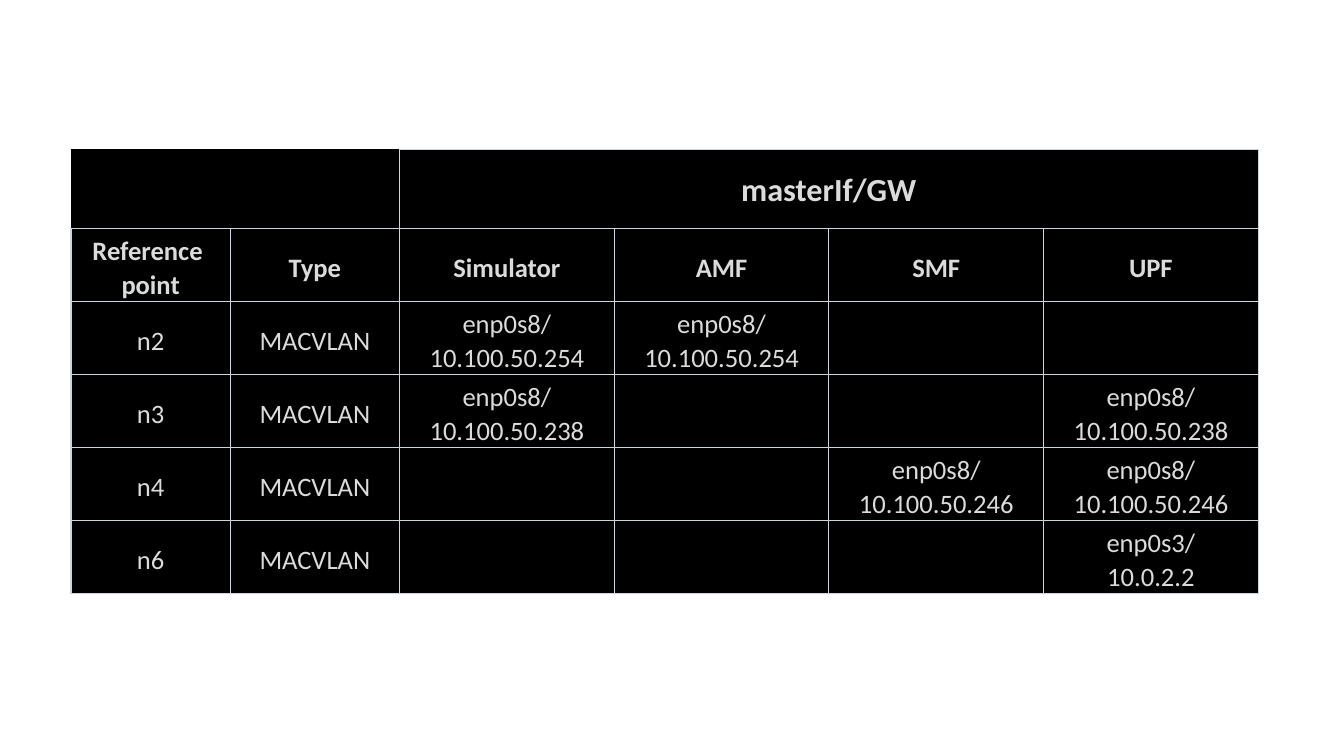
import pptx
import pptx.dml.color
import pptx.enum.text
import pptx.oxml
import pptx.oxml.ns
import pptx.util

Cm = pptx.util.Cm
Pt = pptx.util.Pt
MIDDLE = pptx.enum.text.MSO_ANCHOR.MIDDLE
TOP = pptx.enum.text.MSO_ANCHOR.TOP

GROUP_HEADING = "masterIf/GW"
ROWS = [
    ["Reference \npoint", "Type", "Simulator", "AMF", "SMF", "UPF"],
    ["n2", "MACVLAN", "enp0s8/\n10.100.50.254", "enp0s8/\n10.100.50.254", "", ""],
    ["n3", "MACVLAN", "enp0s8/\n10.100.50.238", "", "", "enp0s8/\n10.100.50.238"],
    ["n4", "MACVLAN", "", "", "enp0s8/\n10.100.50.246", "enp0s8/\n10.100.50.246"],
    ["n6", "MACVLAN", "", "", "", "enp0s3/\n10.0.2.2"],
]
LABEL_COLUMNS = 2
TABLE_LEFT, TABLE_TOP = Cm(1.79), Cm(3.76)
COLUMN_WIDTHS = [Cm(4.01), Cm(4.27)] + [Cm(5.41)] * 4
ROW_HEIGHTS = [Cm(height) for height in (1.73, 1.65, 1.65, 1.75, 1.65, 1.65)]

THEME = {
    "font": "Calibri",
    "text": pptx.dml.color.RGBColor.from_string("DBDBDB"),
    "fill": pptx.dml.color.RGBColor.from_string("000000"),
    "border": "CCD4DE",
    "border_width": Pt(1),
    "group_size": Pt(23),
    "cell_size": Pt(19),
}
GROUP_FORMAT = {
    "vertical_anchor": TOP,
    "margin_left": Cm(0.94), "margin_right": Cm(0.94),
    "margin_top": Cm(0.47), "margin_bottom": Cm(0.47),
}
CELL_FORMAT = {
    "vertical_anchor": MIDDLE,
    "margin_left": Cm(0.46), "margin_right": Cm(0.46),
    "margin_top": Cm(0.1), "margin_bottom": Cm(0),
}
PARAGRAPH_FORMAT = {
    "alignment": pptx.enum.text.PP_ALIGN.CENTER,
    "line_spacing": 1.07,
    "space_after": Pt(8),
}


def apply_format(target, values):
    for name, value in values.items():
        setattr(target, name, value)


def set_borders(cell, visible_sides):
    """Draw the named sides (letters of LRTB) and hide the others."""
    properties = cell._tc.get_or_add_tcPr()
    for index, side in enumerate("LRTB"):
        paint = "<a:noFill/>"
        if side in visible_sides:
            paint = f'<a:solidFill><a:srgbClr val="{THEME["border"]}"/></a:solidFill>'
        line = pptx.oxml.parse_xml(
            f'<a:ln{side} {pptx.oxml.ns.nsdecls("a")} w="{THEME["border_width"]}">'
            f"{paint}</a:ln{side}>"
        )
        properties.insert(index, line)


def write_cell(cell, text, cell_format, size, bold):
    apply_format(cell, cell_format)
    paragraph = cell.text_frame.paragraphs[0]
    paragraph.text = text
    apply_format(paragraph, PARAGRAPH_FORMAT)
    for run in paragraph.runs:
        apply_format(run.font, {"name": THEME["font"], "size": size, "bold": bold})
        run.font.color.rgb = THEME["text"]


def add_interface_table(slide):
    table = slide.shapes.add_table(
        len(ROW_HEIGHTS), len(COLUMN_WIDTHS), TABLE_LEFT, TABLE_TOP,
        sum(COLUMN_WIDTHS), sum(ROW_HEIGHTS),
    ).table
    apply_format(table, {"first_row": False, "horz_banding": False})
    for column, width in zip(table.columns, COLUMN_WIDTHS):
        column.width = width
    for row, height in zip(table.rows, ROW_HEIGHTS):
        row.height = height

    for row_index, row in enumerate(table.rows):
        for column_index, cell in enumerate(row.cells):
            cell.fill.solid()
            cell.fill.fore_color.rgb = THEME["fill"]
            in_blank_corner = row_index == 0 and column_index < LABEL_COLUMNS
            set_borders(cell, "RB" if in_blank_corner else "LRTB")

    last_column = len(COLUMN_WIDTHS) - 1
    table.cell(0, 0).merge(table.cell(0, LABEL_COLUMNS - 1))
    group_cell = table.cell(0, LABEL_COLUMNS)
    group_cell.merge(table.cell(0, last_column))
    write_cell(group_cell, GROUP_HEADING, GROUP_FORMAT, THEME["group_size"], True)

    for row_index, texts in enumerate(ROWS, start=1):
        for column_index, text in enumerate(texts):
            if text:
                write_cell(table.cell(row_index, column_index), text, CELL_FORMAT,
                           THEME["cell_size"], row_index == 1)


def main():
    presentation = pptx.Presentation()
    presentation.slide_width = Cm(33.87)
    presentation.slide_height = Cm(19.05)
    blank_layout = presentation.slide_layouts.get_by_name("Blank")
    add_interface_table(presentation.slides.add_slide(blank_layout))
    presentation.save("out.pptx")


if __name__ == "__main__":
    main()
